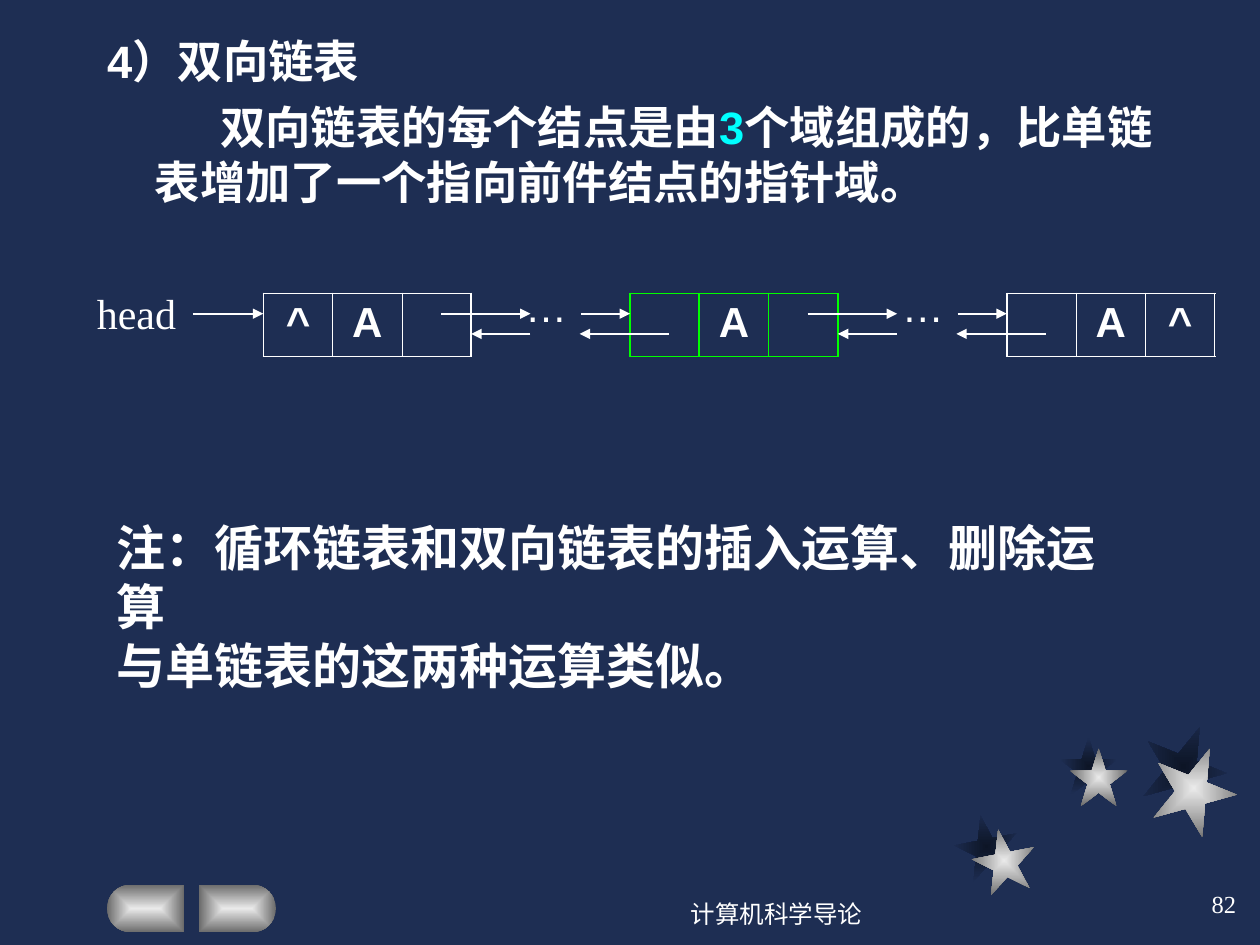
from dataclasses import dataclass
from math import cos, pi, sin

from lxml.etree import SubElement
from pptx import Presentation
from pptx.dml.color import RGBColor
from pptx.enum.shapes import MSO_CONNECTOR, MSO_SHAPE
from pptx.enum.text import MSO_ANCHOR, MSO_AUTO_SIZE, PP_ALIGN
from pptx.oxml.ns import qn
from pptx.util import Inches, Pt


@dataclass(frozen=True)
class Theme:
    background: str = "1E2E53"
    shade: str = "0D1526"
    silver: str = "EAEAEA"
    steel: str = "6B6B6B"
    text: str = "FFFFFF"
    accent: str = "00FFFF"
    focus: str = "00FF00"
    sans: str = "Arial"
    serif: str = "Times New Roman"
    body: float = 25.9
    node: float = 24
    note: float = 28
    footer: float = 14
    thick: float = 1.08
    thin: float = 0.45
    arrow: float = 1


THEME = Theme()


def rgb(color):
    return RGBColor.from_string(color)


def inches(*lengths):
    return [Inches(length) for length in lengths]


def style(paragraph, size, face, bold=False, align=PP_ALIGN.LEFT):
    paragraph.alignment = align
    font = paragraph.font
    font.size, font.name, font.bold = Pt(size), face, bold
    font.color.rgb = rgb(THEME.text)


def add_text(slide, box, lines, size, face, bold=False, align=PP_ALIGN.LEFT,
             anchor=MSO_ANCHOR.TOP, wrap=False):
    frame = slide.shapes.add_textbox(*inches(*box)).text_frame
    frame.word_wrap, frame.vertical_anchor = wrap, anchor
    frame.text = "\n".join(lines)
    for paragraph in frame.paragraphs:
        style(paragraph, size, face, bold, align)
    return frame


def fill_from_centre(shape, inner, outer):
    shape.shadow.inherit = False
    shape.line.fill.background()
    shape.fill.gradient()
    for stop, color in zip(shape.fill.gradient_stops, (inner, outer)):
        stop.color.rgb = rgb(color)
    gradient = shape._element.spPr.find(qn("a:gradFill"))
    gradient.remove(gradient.find(qn("a:lin")))
    centre = SubElement(gradient, qn("a:path"), {"path": "rect"})
    SubElement(centre, qn("a:fillToRect"), dict.fromkeys("ltrb", "50000"))


def add_stars(slide, box):
    left, top = box
    layers = [
        (THEME.shade, THEME.background,
         [(0, 0.72, 0.5, -11), (0.83, 0.1, 0.46, 0), (1.48, 0, 0.67, 22)]),
        (THEME.silver, THEME.steel,
         [(0.14, 0.83, 0.5, -11), (0.91, 0.19, 0.46, 0), (1.56, 0.17, 0.67, 22)]),
    ]
    for inner, outer, stars in layers:
        for dx, dy, size, angle in stars:
            star = slide.shapes.add_shape(
                MSO_SHAPE.STAR_5_POINT, *inches(left + dx, top + dy, size, size))
            star.rotation = angle
            fill_from_centre(star, inner, outer)


def add_buttons(slide, box):
    left, top, width, height = box
    length, radius, steps = 0.61, height / 2, 16
    for flat, side in ((left + length, -1), (left + width - length, 1)):
        hub = flat + side * (length - radius)
        curve = [(hub + side * radius * sin(pi * step / steps),
                  top + radius - radius * cos(pi * step / steps))
                 for step in range(steps + 1)]
        outline = slide.shapes.build_freeform(*inches(flat, top))
        outline.add_line_segments(
            [inches(*point) for point in curve + [(flat, top + height)]])
        fill_from_centre(outline.convert_to_shape(), THEME.silver, THEME.steel)


def add_heading(slide, box):
    title = slide.shapes.title
    title.left, title.top, title.width, title.height = inches(*box)
    frame = title.text_frame
    frame.auto_size, frame.vertical_anchor = MSO_AUTO_SIZE.NONE, MSO_ANCHOR.TOP
    frame.text = "4）双向链表"
    style(frame.paragraphs[0], THEME.body, THEME.sans, True)


def add_definition(slide, box):
    frame = add_text(slide, box, [""], THEME.body, THEME.sans, True, wrap=True)
    definition = frame.paragraphs[0]
    definition._p.get_or_add_pPr().set("marL", str(Inches(0.38)))
    definition._p.get_or_add_pPr().set("indent", str(Inches(0.52)))
    for words, color in (
        ("双向链表的每个结点是由", THEME.text),
        ("3", THEME.accent),
        ("个域组成的，比单链表增加了一个指向前件结点的指针域。", THEME.text),
    ):
        run = definition.add_run()
        run.text = words
        run.font.color.rgb = rgb(color)


def add_arrow(slide, start, end, y):
    arrow = slide.shapes.add_connector(
        MSO_CONNECTOR.STRAIGHT, *inches(start, y, end, y))
    arrow.line.color.rgb = rgb(THEME.text)
    arrow.line.width = Pt(THEME.arrow)
    SubElement(arrow.line._get_or_add_ln(), qn("a:tailEnd"), {"type": "triangle"})
    SubElement(arrow._element.spPr, qn("a:effectLst"))


def add_border(cell, side, color, width):
    border = SubElement(cell._tc.get_or_add_tcPr(), qn(f"a:ln{side}"),
                        {"w": str(Pt(width))})
    solid = SubElement(border, qn("a:solidFill"))
    SubElement(solid, qn("a:srgbClr"), {"val": color})


def add_node(slide, box, fields, color, divider):
    node = slide.shapes.add_table(1, len(fields), *inches(*box)).table
    node.first_row = node.horz_banding = False
    last = len(fields) - 1
    for index, field in enumerate(fields):
        cell = node.cell(0, index)
        cell.text = field
        style(cell.text_frame.paragraphs[0], THEME.node, THEME.sans, True,
              PP_ALIGN.CENTER)
        add_border(cell, "L", color, divider if index else THEME.thick)
        add_border(cell, "R", color, divider if index < last else THEME.thick)
        add_border(cell, "T", color, THEME.thick)
        add_border(cell, "B", color, THEME.thick)
        cell.fill.background()


def add_linked_list(slide, box):
    left, top, width, height = box
    node_width = 1.65
    forward, backward = top + 0.16, top + 0.32
    nodes = [
        (2.09, ("^", "A", ""), THEME.text, THEME.thin),
        (5, ("", "A", ""), THEME.focus, THEME.thick),
        (left + width - node_width, ("", "A", "^"), THEME.text, THEME.thin),
    ]
    for x, fields, color, divider in nodes:
        add_node(slide, (x, top, node_width, height), fields, color, divider)
    for (x, *_), (following, *_) in zip(nodes, nodes[1:]):
        end = x + node_width
        add_text(slide, (following - 0.93, top - 0.15, 0.53, 0.5), ["…"],
                 THEME.node, THEME.sans)
        add_arrow(slide, end - 0.24, end + 0.47, forward)
        add_arrow(slide, end + 0.47, end, backward)
        add_arrow(slide, following - 0.39, following, forward)
        add_arrow(slide, following + 0.31, following - 0.4, backward)
    add_text(slide, (left, top - 0.1, 0.83, 0.5), ["head"], THEME.node, THEME.serif)
    add_arrow(slide, left + 0.86, nodes[0][0], forward)


def add_note(slide, box):
    add_text(slide, box,
             ["注：循环链表和双向链表的插入运算、删除运算", "与单链表的这两种运算类似。"],
             THEME.note, THEME.serif, True)


def add_footer(slide, box):
    left, top, width, height = box
    for x, y, w, words, align in (
        (left, top + 0.08, 3.17, "计算机科学导论", PP_ALIGN.CENTER),
        (left + width - 2.08, top, 2.08, "82", PP_ALIGN.RIGHT),
    ):
        add_text(slide, (x, y, w, height), [words], THEME.footer, THEME.serif,
                 align=align, anchor=MSO_ANCHOR.MIDDLE, wrap=True)


def main():
    deck = Presentation()
    deck.slide_width, deck.slide_height = inches(10, 7.5)
    slide = deck.slides.add_slide(deck.slide_layouts.get_by_name("Title Only"))
    slide.background.fill.solid()
    slide.background.fill.fore_color.rgb = rgb(THEME.background)
    add_stars(slide, (7.58, 5.75))
    add_buttons(slide, (0.85, 7.02, 1.34, 0.38))
    add_heading(slide, (0.75, 0.21, 8.58, 0.53))
    add_definition(slide, (0.75, 0.74, 8.58, 1.04))
    add_linked_list(slide, (0.67, 2.33, 8.97, 0.5))
    add_note(slide, (0.83, 4.06, 8.35, 1.04))
    add_footer(slide, (4.58, 6.92, 5.33, 0.5))
    deck.save("out.pptx")


if __name__ == "__main__":
    main()
